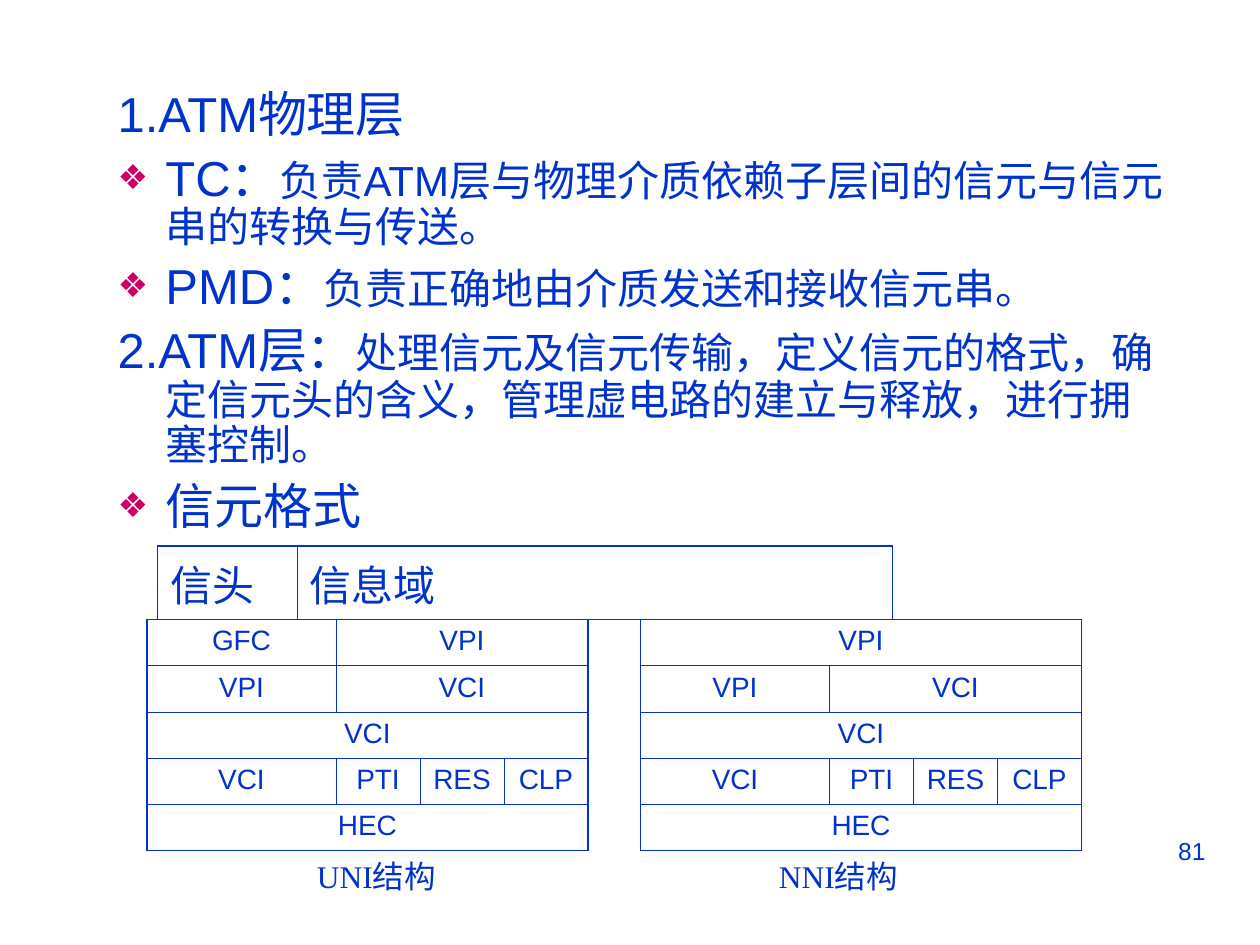
from typing import NamedTuple
from lxml.etree import SubElement as Sub
from pptx import Presentation
from pptx.dml.color import RGBColor as Rgb
from pptx.enum.text import MSO_ANCHOR as Anchor, MSO_AUTO_SIZE as Fit, PP_ALIGN as Align
from pptx.oxml.ns import qn
from pptx.util import Inches, Pt

COLORS = {"ink": "0033CC", "mark": "CC0066"}
WIDE, HIGH = Inches(10), Inches(7.5)
COLS, ROWS = 120, 90
INDENT = Inches(0.38)
THICK, THIN = 1.08, 0.45


class Box(NamedTuple):
    left: float
    top: float
    width: float
    height: float


class Item(NamedTuple):
    head: str
    text: str
    mark: bool
    gap: float


class Grid(NamedTuple):
    box: Box
    cols: list[float]
    rows: list[list[tuple[str, int]]]
    size: int
    align: Align


class Note(NamedTuple):
    box: Box
    text: str
    size: int
    face: str
    align: Align


ITEMS = [
    Item("1.ATM物理层", "", False, 0),
    Item("TC：", "负责ATM层与物理介质依赖子层间的信元与信元串的转换与传送。", True, 6),
    Item("PMD：", "负责正确地由介质发送和接收信元串。", True, 6),
    Item("2.ATM层：", "处理信元及信元传输，定义信元的格式，确定信元头的含义，"
         "管理虚电路的建立与释放，进行拥塞控制。", False, 6),
    Item("信元格式", "", True, 7),
]
FIELDS = [18, 8, 8, 8]
SPLIT = [("VPI", 1), ("VCI", 3)]
TAIL = [
    [("VCI", 4)],
    [("VCI", 1), ("PTI", 1), ("RES", 1), ("CLP", 1)],
    [("HEC", 4)],
]
UNI = [[("GFC", 1), ("VPI", 3)], SPLIT, *TAIL]
NNI = [[("VPI", 4)], SPLIT, *TAIL]
GRIDS = [
    Grid(Box(15, 52, 70, 6), [13.3, 56.7], [[("信头", 1), ("信息域", 1)]], 24, Align.LEFT),
    Grid(Box(14, 59, 42, 22), FIELDS, UNI, 16, Align.CENTER),
    Grid(Box(61, 59, 42, 22), FIELDS, NNI, 16, Align.CENTER),
]
NOTES = [
    Note(Box(86, 79, 30, 6), "81", 14, "Arial", Align.RIGHT),
    Note(Box(29, 81, 20, 4.8), "UNI结构", 18, "Times New Roman", Align.LEFT),
    Note(Box(73, 81, 20, 4.8), "NNI结构", 18, "Times New Roman", Align.LEFT),
]


def across(n: float) -> int:
    return round(WIDE * n / COLS)


def down(n: float) -> int:
    return round(HIGH * n / ROWS)


def place(box: Box) -> tuple[int, int, int, int]:
    return across(box.left), down(box.top), across(box.width), down(box.height)


def style(obj, form: dict) -> None:
    for name, value in form.items():
        setattr(obj, name, value)


def write(para, text: str, size: int, face: str = "Arial") -> None:
    run = para.add_run()
    run.text = text
    style(run.font, {"size": Pt(size), "name": face, "bold": False})
    run.font.color.rgb = Rgb.from_string(COLORS["ink"])


def bullet(para, mark: bool) -> None:
    props = para._p.get_or_add_pPr()
    props.set("marL", str(INDENT))
    props.set("indent", str(-INDENT))
    if not mark:
        Sub(props, qn("a:buNone"))
        return
    tint = Sub(props, qn("a:buClr"))
    Sub(tint, qn("a:srgbClr"), val=COLORS["mark"])
    Sub(props, qn("a:buSzPct"), val="70000")
    Sub(props, qn("a:buChar"), char="❖")


def fill_body(body, items: list[Item]) -> None:
    style(body, dict(zip(("left", "top", "width", "height"), place(Box(10, 8, 102, 47)))))
    frame = body.text_frame
    style(frame, {"word_wrap": True, "auto_size": Fit.NONE, "vertical_anchor": Anchor.TOP})
    for i, item in enumerate(items):
        para = frame.add_paragraph() if i else frame.paragraphs[0]
        bullet(para, item.mark)
        style(para, {"line_spacing": 0.9, "space_before": Pt(item.gap),
                     "alignment": Align.LEFT})
        write(para, item.head, 28)
        if item.text:
            write(para, item.text, 24)


def border(cell, sides: dict[str, float]) -> None:
    props = cell._tc.get_or_add_tcPr()
    for side, width in sides.items():
        line = Sub(props, qn(f"a:ln{side}"), w=str(Pt(width)))
        fill = Sub(line, qn("a:solidFill"))
        Sub(fill, qn("a:srgbClr"), val=COLORS["ink"])


def draw_grid(slide, grid: Grid) -> None:
    wide, high = len(grid.cols), len(grid.rows)
    table = slide.shapes.add_table(high, wide, *place(grid.box)).table
    style(table, {"first_row": False, "horz_banding": False})
    for col, width in zip(table.columns, grid.cols):
        col.width = across(width)
    for r, row in enumerate(grid.rows):
        table.rows[r].height = down(grid.box.height / high)
        start = 0
        for text, span in row:
            end = start + span
            edges = {"L": start == 0, "R": end == wide, "T": r == 0, "B": r == high - 1}
            sides = {k: THICK if outer else THIN for k, outer in edges.items()}
            for c in range(start, end):
                cell = table.cell(r, c)
                border(cell, sides)
                cell.fill.background()
            cell = table.cell(r, start)
            if span > 1:
                cell.merge(table.cell(r, end - 1))
            para = cell.text_frame.paragraphs[0]
            para.alignment = grid.align
            write(para, text, grid.size)
            start = end


def draw_note(slide, note: Note) -> None:
    frame = slide.shapes.add_textbox(*place(note.box)).text_frame
    frame.word_wrap = True
    para = frame.paragraphs[0]
    para.alignment = note.align
    write(para, note.text, note.size, note.face)


def main() -> None:
    deck = Presentation()
    style(deck, {"slide_width": WIDE, "slide_height": HIGH})
    slide = deck.slides.add_slide(deck.slide_layouts[1])
    title = slide.shapes.title.element
    title.getparent().remove(title)
    fill_body(slide.placeholders[1], ITEMS)
    for grid in GRIDS:
        draw_grid(slide, grid)
    for note in NOTES:
        draw_note(slide, note)
    deck.save("out.pptx")


if __name__ == "__main__":
    main()
